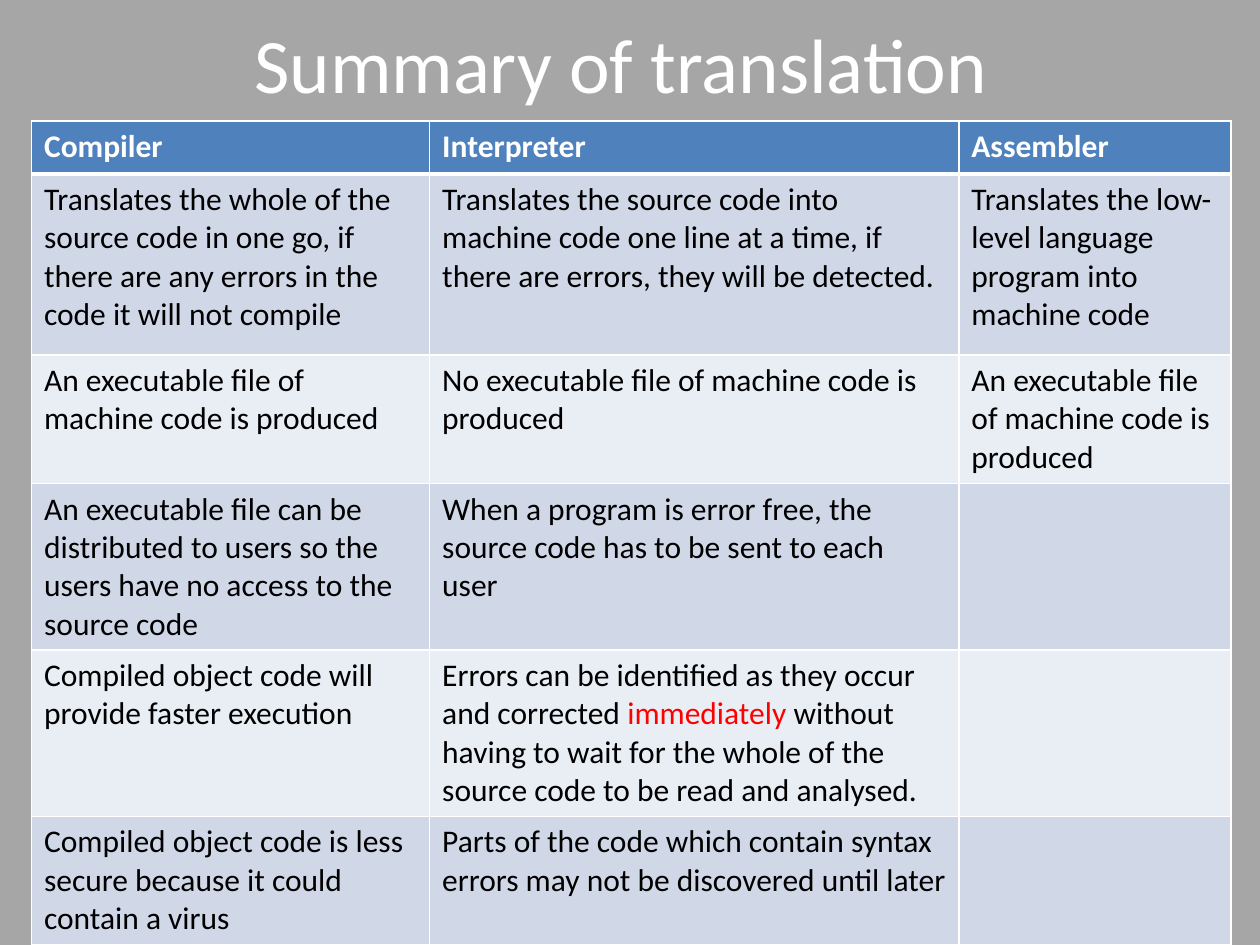
"""Build a slide that compares compilers, interpreters and assemblers in a table."""
from lxml.etree import SubElement
from pptx import Presentation
from pptx.dml.color import RGBColor
from pptx.enum.text import MSO_ANCHOR, PP_ALIGN
from pptx.oxml.ns import qn
from pptx.util import Inches, Pt

FONT = "Calibri"
COLORS = {
    "background": "A6A6A6",
    "header": "4F81BD",
    "odd": "D0D8E8",
    "even": "E9EDF4",
    "white": "FFFFFF",
    "body": "000000",
    "accent": "FF0000",
}
COLUMN_WIDTHS = [3.16, 4.2, 2.16]
ROW_HEIGHTS = [0.42, 1.44, 1.02, 1.32, 1.32, 1.02]
EMPHASIS = "immediately"
ROWS = [
    ["Compiler", "Interpreter", "Assembler"],
    [
        "Translates the whole of the source code in one go, if there are any errors in the code it will not compile",
        "Translates the source code into machine code one line at a time, if there are errors, they will be detected.",
        "Translates the low-level language program into machine code",
    ],
    [
        "An executable file of machine code is produced",
        "No executable file of machine code is produced",
        "An executable file of machine code is produced",
    ],
    [
        "An executable file can be distributed to users so the users have no access to the source code",
        "When a program is error free, the source code has to be sent to each user",
        "",
    ],
    [
        "Compiled object code will provide faster execution",
        "Errors can be identified as they occur and corrected immediately without having to wait "
        "for the whole of the source code to be read and analysed.",
        "",
    ],
    [
        "Compiled object code is less secure because it could contain a virus",
        "Parts of the code which contain syntax errors may not be discovered until later",
        "",
    ],
]


def color(name):
    return RGBColor.from_string(COLORS[name])


def style_font(font, size, color_name, bold=False):
    font.name = FONT
    font.size = Pt(size)
    font.bold = bold
    font.color.rgb = color(color_name)


def set_title(slide, text):
    title = slide.shapes.title
    title.left, title.top = Inches(0.5), Inches(0.04)
    title.width, title.height = Inches(9), Inches(0.92)
    title.text_frame.text = text
    title.text_frame.vertical_anchor = MSO_ANCHOR.MIDDLE
    paragraph = title.text_frame.paragraphs[0]
    paragraph.alignment = PP_ALIGN.CENTER
    style_font(paragraph.runs[0].font, 44, "white")


def set_borders(cell, widths):
    properties = cell._tc.get_or_add_tcPr()
    for side, width in widths.items():
        line = SubElement(properties, qn(f"a:ln{side}"), w=str(Pt(width)))
        fill = SubElement(line, qn("a:solidFill"))
        SubElement(fill, qn("a:srgbClr"), val=COLORS["white"])


def write_cell(cell, text, is_header):
    paragraph = cell.text_frame.paragraphs[0]
    before, emphasis, after = text.partition(EMPHASIS)
    base = "white" if is_header else "body"
    for part, color_name in [(before, base), (emphasis, "accent"), (after, base)]:
        if part:
            run = paragraph.add_run()
            run.text = part
            style_font(run.font, 18, color_name, is_header)


def add_comparison(slide):
    frame = slide.shapes.add_table(
        len(ROWS), len(COLUMN_WIDTHS), Inches(0.25), Inches(0.96),
        Inches(sum(COLUMN_WIDTHS)), Inches(sum(ROW_HEIGHTS)),
    )
    table = frame.table
    for column, width in zip(table.columns, COLUMN_WIDTHS):
        column.width = Inches(width)
    for index, (row, height, texts) in enumerate(zip(table.rows, ROW_HEIGHTS, ROWS)):
        row.height = Inches(height)
        is_header = index == 0
        band = "header" if is_header else "odd" if index % 2 else "even"
        widths = {"L": 1, "R": 1, "T": 3 if index == 1 else 1, "B": 3 if is_header else 1}
        for cell, text in zip(row.cells, texts):
            write_cell(cell, text, is_header)
            set_borders(cell, widths)
            cell.fill.solid()
            cell.fill.fore_color.rgb = color(band)


def main():
    presentation = Presentation()
    presentation.slide_width, presentation.slide_height = Inches(10), Inches(7.5)
    slide = presentation.slides.add_slide(presentation.slide_layouts[5])
    slide.background.fill.solid()
    slide.background.fill.fore_color.rgb = color("background")
    set_title(slide, "Summary of translation ")
    add_comparison(slide)
    presentation.save("out.pptx")


if __name__ == "__main__":
    main()
